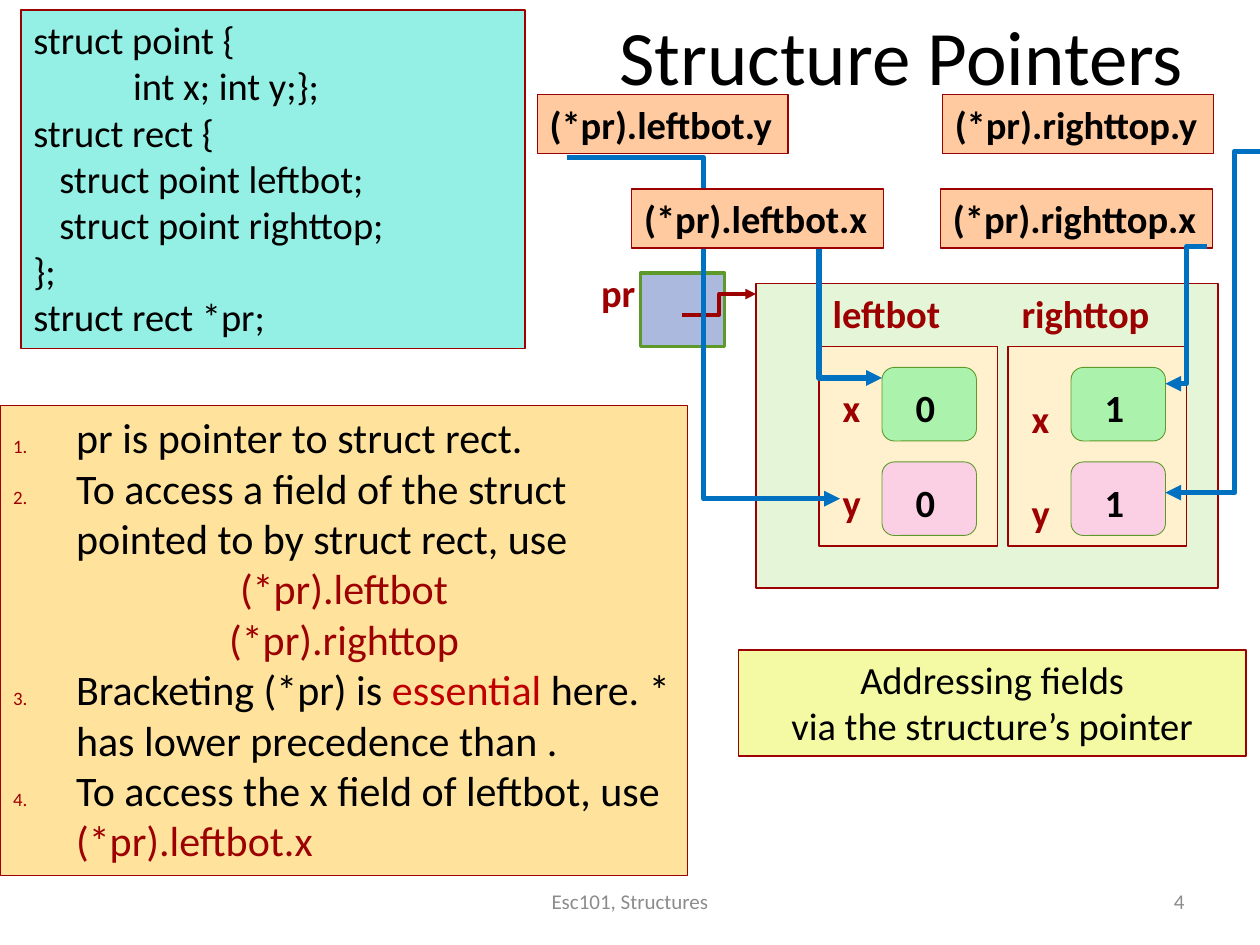
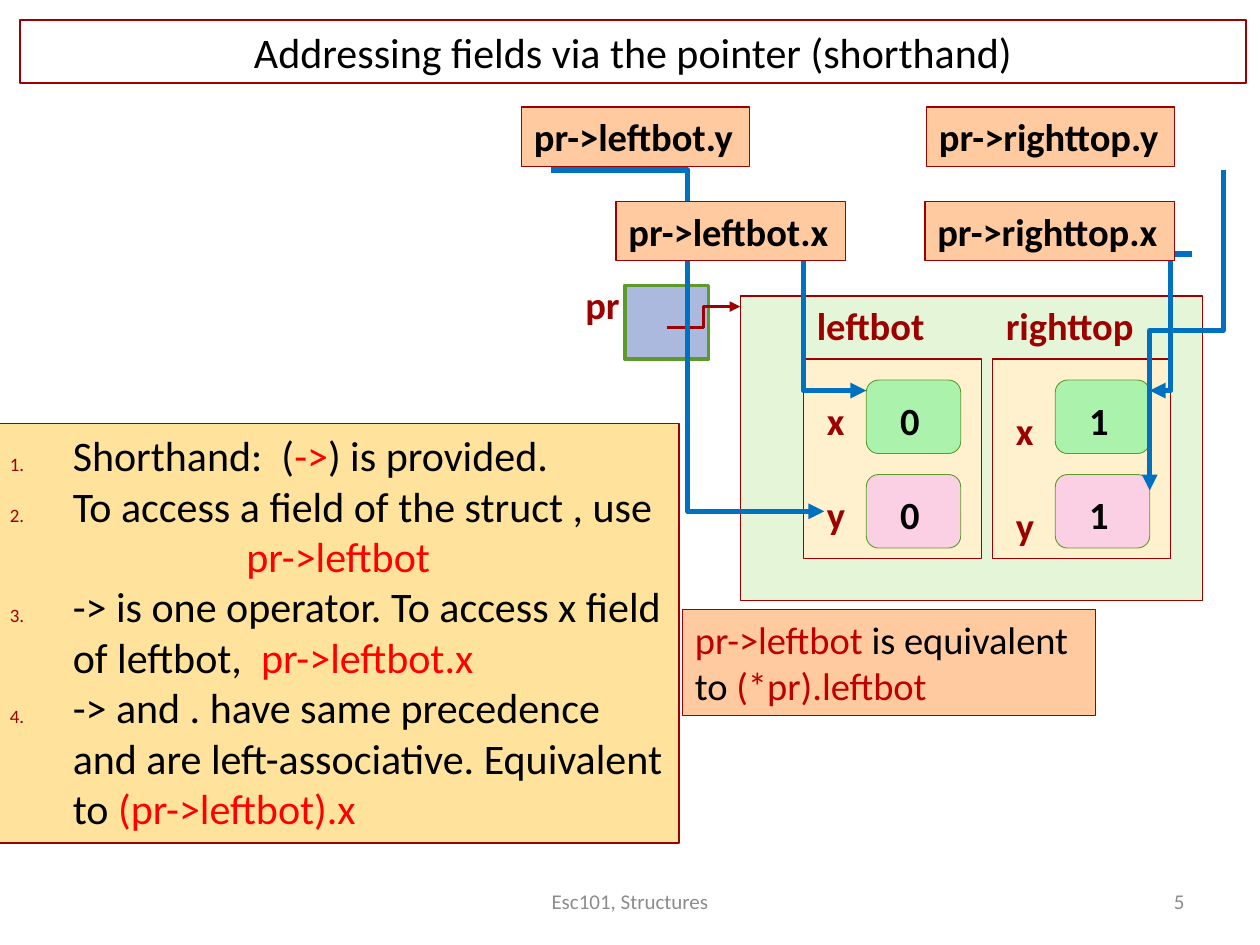
from dataclasses import dataclass

from lxml.etree import SubElement
from pptx import Presentation
from pptx.dml.color import RGBColor
from pptx.enum.shapes import MSO_CONNECTOR as Link, MSO_SHAPE as Preset
from pptx.enum.text import MSO_ANCHOR as Anchor, MSO_AUTO_SIZE as AutoSize, PP_ALIGN as Align
from pptx.oxml.ns import qn
from pptx.util import Pt

BLACK = RGBColor(0x00, 0x00, 0x00)
GRAY = RGBColor(0x8C, 0x8C, 0x8C)
MAROON = RGBColor(0x9D, 0x00, 0x00)
CRIMSON = RGBColor(0xC0, 0x00, 0x00)
RED = RGBColor(0xFF, 0x00, 0x00)
BLUE = RGBColor(0x00, 0x70, 0xC0)
GREEN = RGBColor(0x5D, 0x9A, 0x2B)
AQUA = RGBColor(0x94, 0xF0, 0xE4)
SAND = RGBColor(0xFF, 0xE3, 0x9D)
CREAM = RGBColor(0xFF, 0xF1, 0xCE)
PEACH = RGBColor(0xFF, 0xCA, 0x9F)
LEMON = RGBColor(0xF4, 0xFA, 0xA4)
PERIWINKLE = RGBColor(0xAB, 0xB9, 0xDE)
PALE_GREEN = RGBColor(0xE5, 0xF6, 0xD8)
MINT = RGBColor(0xAB, 0xF3, 0xAD)
PINK = RGBColor(0xFB, 0xD0, 0xE4)


@dataclass
class Line:
    runs: list
    number_from: int = 0
    align: Align = Align.LEFT
    hanging: bool = False


def point(*runs, start=1):
    return Line(list(runs), number_from=start, hanging=True)


def formula(text, color):
    return Line([(text, color)], align=Align.CENTER, hanging=True)


def centered(text):
    return Line([(text, BLACK)], align=Align.CENTER)


class Deck:
    FONT = "Calibri"
    BODY = 22
    LARGE = 24
    LABEL_HEIGHT = 33.84

    def __init__(self):
        self.show = Presentation()
        self.show.slide_width, self.show.slide_height = Pt(720), Pt(540)
        self.slide = None
        self.canvas = None
        self.origin = (0, 0)

    def new_slide(self, number):
        self.slide = self.show.slides.add_slide(self.show.slide_layouts[6])
        self.ungroup()
        for text, x, width, align in ((str(number), 516, 168, Align.RIGHT),
                                      ("Esc101, Structures", 246, 228, Align.CENTER)):
            footer = self.text([Line([(text, GRAY)], align=align)], x, 500.5, width, 28.75, size=12)
            footer.text_frame.vertical_anchor = Anchor.MIDDLE

    def group(self, origin):
        self.origin = origin
        self.canvas = self.slide.shapes.add_group_shape().shapes

    def ungroup(self, origin=(0, 0)):
        self.origin = origin
        self.canvas = self.slide.shapes

    def place(self, x, y):
        return Pt(self.origin[0] + x), Pt(self.origin[1] + y)

    def box(self, x, y, width, height, fill=None, outline=MAROON, weight=0.75, preset=Preset.RECTANGLE):
        shape = self.canvas.add_shape(preset, *self.place(x, y), Pt(width), Pt(height))
        shape.shadow.inherit = False
        if fill is None:
            shape.fill.background()
        else:
            shape.fill.solid()
            shape.fill.fore_color.rgb = fill
        shape.line.color.rgb = outline
        shape.line.width = Pt(weight)
        return shape

    def text(self, lines, x, y, width, height, **style):
        return self.set_lines(self.canvas.add_textbox(*self.place(x, y), Pt(width), Pt(height)), lines, **style)

    def panel(self, lines, x, y, width, height, fill=None, **style):
        return self.set_lines(self.box(x, y, width, height, fill), lines, **style)

    def tag(self, text, x, y, width, color=MAROON):
        return self.text([Line([(text, color)])], x, y, width, self.LABEL_HEIGHT, bold=True, wrap=False)

    def label(self, text, x, y, width):
        return self.panel([Line([(text, BLACK)])], x, y, width, self.LABEL_HEIGHT, PEACH, bold=True, wrap=False)

    def set_lines(self, shape, lines, size=BODY, bold=False, wrap=True):
        frame = shape.text_frame
        frame.word_wrap = wrap
        frame.auto_size = AutoSize.NONE if wrap else AutoSize.SHAPE_TO_FIT_TEXT
        frame.vertical_anchor = Anchor.TOP
        for index, line in enumerate(lines):
            paragraph = frame.add_paragraph() if index else frame.paragraphs[0]
            paragraph.alignment = line.align
            self.format_paragraph(paragraph, line)
            for text, color in line.runs:
                run = paragraph.add_run()
                run.text = text
                run.font.name = self.FONT
                run.font.size = Pt(size)
                run.font.bold = bold
                run.font.color.rgb = color
        return shape

    def format_paragraph(self, paragraph, line):
        props = paragraph._p.get_or_add_pPr()
        if line.hanging:
            props.set("marL", str(Pt(36)))
            props.set("indent", str(-Pt(36)))
        if line.number_from:
            color = SubElement(props, qn("a:buClr"))
            SubElement(color, qn("a:srgbClr"), val=str(MAROON))
            SubElement(props, qn("a:buSzPct"), val="45000")
            SubElement(props, qn("a:buAutoNum"), type="arabicPeriod", startAt=str(line.number_from))
        if line.runs[0][0].startswith("\t"):
            tabs = SubElement(props, qn("a:tabLst"))
            SubElement(tabs, qn("a:tab"), pos=str(Pt(57)), algn="l")

    def arrow(self, start, end, color=BLUE, weight=3, bend=0.5, turn=0):
        link = self.canvas.add_connector(Link.ELBOW, *self.place(*start), *self.place(*end))
        link.line.color.rgb = color
        link.line.width = Pt(weight)
        props = link._element.spPr
        SubElement(props.find(qn("a:ln")), qn("a:tailEnd"), type="triangle")
        SubElement(props, qn("a:effectLst"))
        guides = props.find(qn("a:prstGeom")).get_or_add_avLst()
        SubElement(guides, qn("a:gd"), name="adj1", fmla=f"val {round(bend * 100000)}")
        if turn:
            props.find(qn("a:xfrm")).set("rot", str(turn * 60000))

    def down_arrow(self, start, end):
        across, drop = start[0] - end[0], end[1] - start[1]
        middle_x, middle_y = (start[0] + end[0]) / 2, (start[1] + end[1]) / 2
        self.arrow((middle_x - drop / 2, middle_y - across / 2),
                   (middle_x + drop / 2, middle_y + across / 2), turn=90)

    def memory(self, origin):
        self.ungroup(origin)
        self.tag("pr", -95.6, -12, 34)
        self.group(origin)
        self.box(-66, -6, 48, 42, PERIWINKLE, GREEN, 2)
        self.arrow((-42, 18), (0, 6), MAROON, 2)
        self.group(origin)
        self.box(0, 0, 264, 174, PALE_GREEN)
        for column, (member, width, value) in enumerate((("leftbot", 77, "0"), ("righttop", 88.6, "1"))):
            left = 108 * column
            self.box(36 + left, 36, 102, 114, CREAM)
            self.tag(member, 36.7 + left, 0, width)
            for row, (field, fill) in enumerate((("x", MINT), ("y", PINK))):
                top = 54 * row
                self.box(72 + left, 48 + top, 54, 42, fill, GREEN, 0.5, Preset.ROUNDED_RECTANGLE)
                self.tag(field, 42.5 + left, 54 + 6 * column + top, 24.5)
                self.tag(value, 84.2 + left, 54 + top, 25.2, BLACK)
        self.ungroup(origin)

    def left_arrows(self):
        self.arrow((-108, -72), (48, 123))
        self.arrow((0, -24), (72, 54))


def structure_pointers(deck):
    deck.new_slide(4)
    deck.text([centered("Structure Pointers")], 311.8, 1.5, 406.8, 53.3, size=44)
    code = ("struct point {", "\tint x; int y;};", "struct rect {", "   struct point leftbot;",
            "   struct point righttop;", "};", "struct rect *pr;")
    deck.panel([Line([(row, BLACK)]) for row in code], 12, 5.8, 288, 193.5, AQUA)
    deck.panel([
        point(("pr is pointer to struct rect.", BLACK)),
        point(("To access a field of the struct pointed to by struct rect, use", BLACK)),
        formula("(*pr).leftbot", MAROON),
        formula("(*pr).righttop", MAROON),
        point(("Bracketing (*pr) is ", BLACK), ("essential", CRIMSON),
              (" here. * has lower precedence than .", BLACK), start=3),
        point(("To access the x field of leftbot, use", BLACK), (" (*pr).leftbot.x", MAROON), start=3),
    ], 0.4, 231.8, 392.4, 268.6, SAND, size=deck.LARGE)
    deck.memory((432, 162))
    deck.label("(*pr).leftbot.y", -125, -108, 143.3)
    deck.label("(*pr).righttop.y", 106.5, -108, 154.8)
    deck.label("(*pr).righttop.x", 105.5, -54, 155.5)
    deck.left_arrows()
    deck.arrow((258, -21), (234, 57.3))
    deck.arrow((288, -75.6), (234, 119.5), bend=0.27)
    deck.label("(*pr).leftbot.x", -71, -54, 144)
    deck.ungroup()
    deck.panel([centered("Addressing fields"), centered("via the structure’s pointer")],
               422, 371.5, 290, 60.5, LEMON)


def pointer_shorthand(deck):
    deck.new_slide(5)
    deck.panel([
        point(("Shorthand:  (", BLACK), ("->", RED), (") is provided.", BLACK)),
        point(("To access a field of the struct , use", BLACK)),
        formula("pr->leftbot", RED),
        point(("-> is one operator. To access x field of leftbot,  ", BLACK), ("pr->leftbot.x", RED), start=3),
        point(("-> and . have same precedence and are left-associative. Equivalent to ", BLACK),
              ("(pr->leftbot).x", RED), start=3),
    ], -1.5, 242, 389.5, 239.8, SAND, size=deck.LARGE)
    deck.memory((423, 169.2))
    deck.label("pr->leftbot.y", -125, -108, 130.3)
    deck.label("pr->righttop.y", 106.5, -108, 141.8)
    deck.left_arrows()
    deck.arrow((258, -24), (234, 54))
    deck.down_arrow((276, -72), (234, 111))
    deck.label("pr->leftbot.x", -71, -54, 131)
    deck.label("pr->righttop.x", 105.5, -54, 142.5)
    deck.ungroup()
    deck.panel([centered("Addressing fields via the pointer (shorthand)")], 11.5, 11.5, 700.5, 36, size=deck.LARGE)
    deck.panel([
        Line([("pr->leftbot", CRIMSON), (" is equivalent", BLACK)]),
        Line([("to ", BLACK), ("(*pr).leftbot", CRIMSON)]),
    ], 390, 348.5, 236.2, 60.5, PEACH, wrap=False)


def main():
    deck = Deck()
    structure_pointers(deck)
    pointer_shorthand(deck)
    deck.show.save("out.pptx")


if __name__ == "__main__":
    main()
